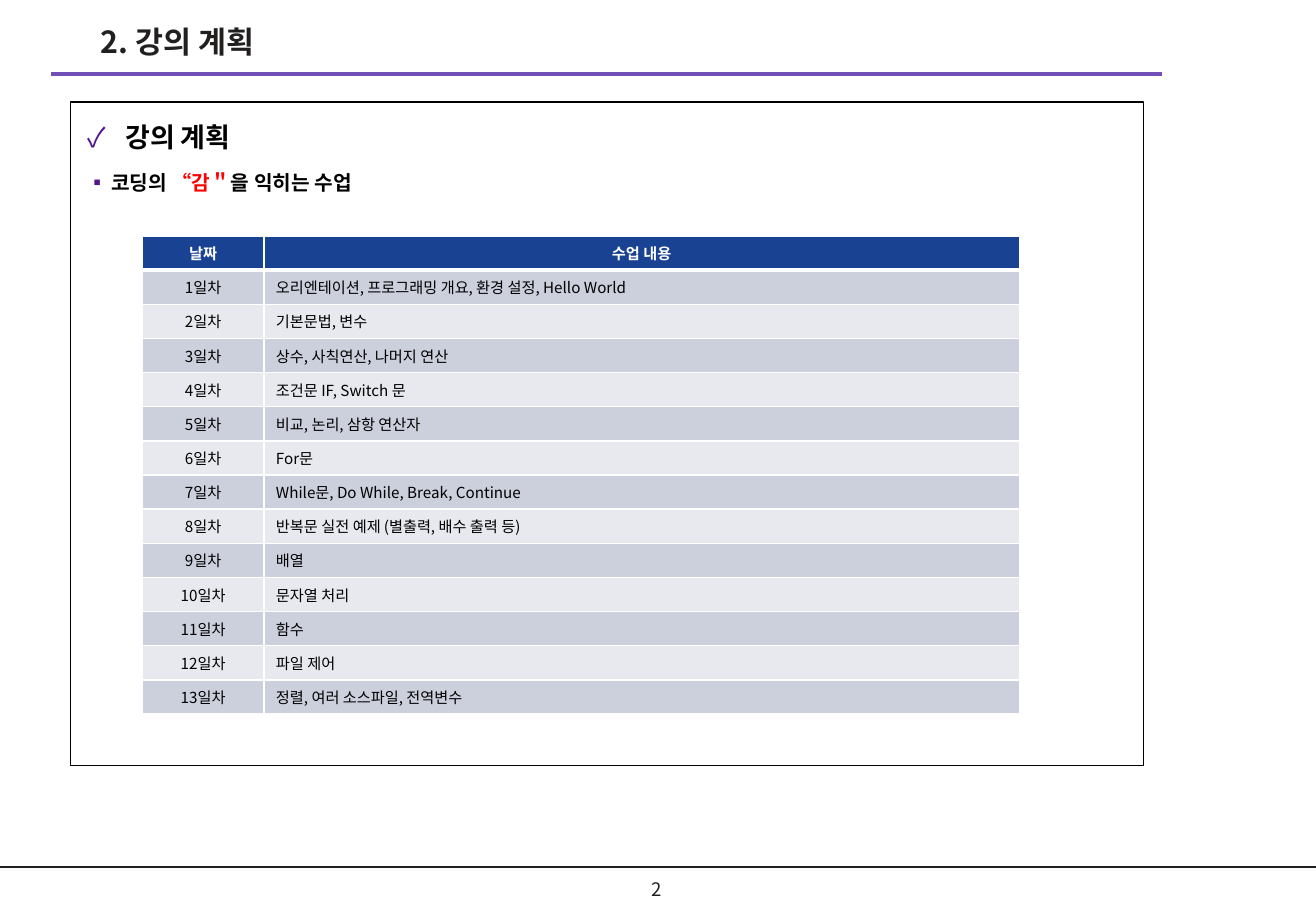
from lxml import etree
from pptx import Presentation
from pptx.dml.color import RGBColor
from pptx.enum.shapes import MSO_CONNECTOR, MSO_SHAPE
from pptx.enum.text import MSO_ANCHOR, PP_ALIGN
from pptx.oxml.ns import qn
from pptx.util import Pt

STRAIGHT = MSO_CONNECTOR.STRAIGHT
RECTANGLE = MSO_SHAPE.RECTANGLE
TOP, MIDDLE = MSO_ANCHOR.TOP, MSO_ANCHOR.MIDDLE
LEFT, CENTER = PP_ALIGN.LEFT, PP_ALIGN.CENTER

FONT = "Noto Sans CJK KR"
WIDTH, HEIGHT = 780, 540
COLORS = {
    "ink": "221F1F",
    "black": "000000",
    "white": "FFFFFF",
    "rule": "724FB7",
    "bullet": "54158D",
    "accent": "FF0000",
    "header": "194293",
    "odd_row": "CCCFDC",
    "even_row": "E8E9EE",
}
SCHEDULE = [
    "오리엔테이션, 프로그래밍 개요, 환경 설정, Hello World",
    "기본문법, 변수",
    "상수, 사칙연산, 나머지 연산",
    "조건문 IF, Switch 문",
    "비교, 논리, 삼항 연산자",
    "For문",
    "While문, Do While, Break, Continue",
    "반복문 실전 예제 (별출력, 배수 출력 등)",
    "배열",
    "문자열 처리",
    "함수",
    "파일 제어",
    "정렬, 여러 소스파일, 전역변수",
]


def color(name):
    return RGBColor.from_string(COLORS[name])


def add_element(parent, tag, **attributes):
    return etree.SubElement(parent, qn(tag), attributes)


def add_run(paragraph, text, size, color_name, bold=False):
    run = paragraph.add_run()
    run.text = text
    run.font.size = Pt(size)
    run.font.bold = bold
    run.font.color.rgb = color(color_name)
    run.font.name = FONT
    add_element(run.font._element, "a:ea", typeface=FONT)


def add_line(slide, left, top, right, color_name, weight):
    line = slide.shapes.add_connector(STRAIGHT, Pt(left), Pt(top), Pt(right), Pt(top))
    line.line.color.rgb = color(color_name)
    line.line.width = Pt(weight)
    add_element(line._element.spPr, "a:effectLst")


def add_label(slide, box, text, size, bold, alignment, anchor):
    frame = slide.shapes.add_textbox(*map(Pt, box)).text_frame
    frame.word_wrap = True
    frame.vertical_anchor = anchor
    paragraph = frame.paragraphs[0]
    paragraph.alignment = alignment
    add_run(paragraph, text, size, "ink", bold)


def add_header(slide, left, top, width):
    add_line(slide, left, top + 34, left + width, "rule", 2.25)
    add_label(slide, (left + 22.3, top, 400, 34.5), "2. 강의 계획", 18, True, LEFT, TOP)


def add_footer(slide, left, top, width):
    add_line(slide, left, top, left + width, "ink", 1)
    number_width = 44
    number_left = left + (width - number_width) / 2 - 1
    add_label(slide, (number_left, top + 1, number_width, 24), "2", 11, False, CENTER, MIDDLE)


def format_bullet(paragraph, character, indent):
    paragraph.alignment = LEFT
    paragraph.line_spacing = 1.3
    properties = paragraph._p.get_or_add_pPr()
    properties.set("marL", str(Pt(indent)))
    properties.set("indent", str(-Pt(indent)))
    space_before = add_element(properties, "a:spcBef")
    add_element(space_before, "a:spcPct", val="50000")
    bullet_color = add_element(properties, "a:buClr")
    add_element(bullet_color, "a:srgbClr", val=COLORS["bullet"])
    add_element(properties, "a:buFont", typeface=FONT)
    add_element(properties, "a:buChar", char=character)


def add_panel(slide, left, top, width, height):
    panel = slide.shapes.add_shape(RECTANGLE, Pt(left), Pt(top), Pt(width), Pt(height))
    panel.shadow.inherit = False
    panel.fill.background()
    panel.line.color.rgb = color("black")
    panel.line.width = Pt(0.75)
    frame = panel.text_frame
    frame.word_wrap = True
    frame.vertical_anchor = TOP
    frame.margin_left = frame.margin_right = Pt(10)
    frame.margin_top = frame.margin_bottom = Pt(5)

    heading = frame.paragraphs[0]
    format_bullet(heading, "✓", 22.5)
    add_run(heading, "강의 계획", 16, "black", True)

    goal = frame.add_paragraph()
    format_bullet(goal, "▪", 14.2)
    for text, color_name in (
        ("코딩의 ", "black"),
        ("“감＂", "accent"),
        ("을 익히는 수업", "black"),
    ):
        add_run(goal, text, 12, color_name, True)

    add_schedule(slide, left + 42.6, top + 79.4, width - 116)


def add_borders(cell, bottom_weight):
    properties = cell._tc.get_or_add_tcPr()
    for side, weight in (("L", 1), ("R", 1), ("T", 1), ("B", bottom_weight)):
        border = add_element(properties, f"a:ln{side}", w=str(Pt(weight)))
        fill = add_element(border, "a:solidFill")
        add_element(fill, "a:srgbClr", val=COLORS["white"])


def add_schedule(slide, left, top, width):
    row_height, day_width = 20.25, 72
    rows = [("날짜", "수업 내용")]
    rows += [(f"{day}일차", topic) for day, topic in enumerate(SCHEDULE, 1)]
    table = slide.shapes.add_table(
        len(rows), 2, Pt(left), Pt(top), Pt(width), Pt(row_height * len(rows))
    ).table
    table.columns[0].width = Pt(day_width)
    table.columns[1].width = Pt(width - day_width)
    for row_index, texts in enumerate(rows):
        table.rows[row_index].height = Pt(row_height)
        is_header = row_index == 0
        fill_name = "header" if is_header else "odd_row" if row_index % 2 else "even_row"
        for column_index, text in enumerate(texts):
            cell = table.cell(row_index, column_index)
            add_borders(cell, 3 if is_header else 1)
            cell.fill.solid()
            cell.fill.fore_color.rgb = color(fill_name)
            paragraph = cell.text_frame.paragraphs[0]
            paragraph.alignment = CENTER if is_header or column_index == 0 else LEFT
            add_run(paragraph, text, 9, "white" if is_header else "black", is_header)


presentation = Presentation()
presentation.slide_width = Pt(WIDTH)
presentation.slide_height = Pt(HEIGHT)
slide = presentation.slides.add_slide(presentation.slide_layouts[6])
add_footer(slide, 0, 514, WIDTH)
add_header(slide, 30.3, 10, 658.7)
add_panel(slide, 41.8, 60.5, 635.8, 393.1)
presentation.save("out.pptx")
